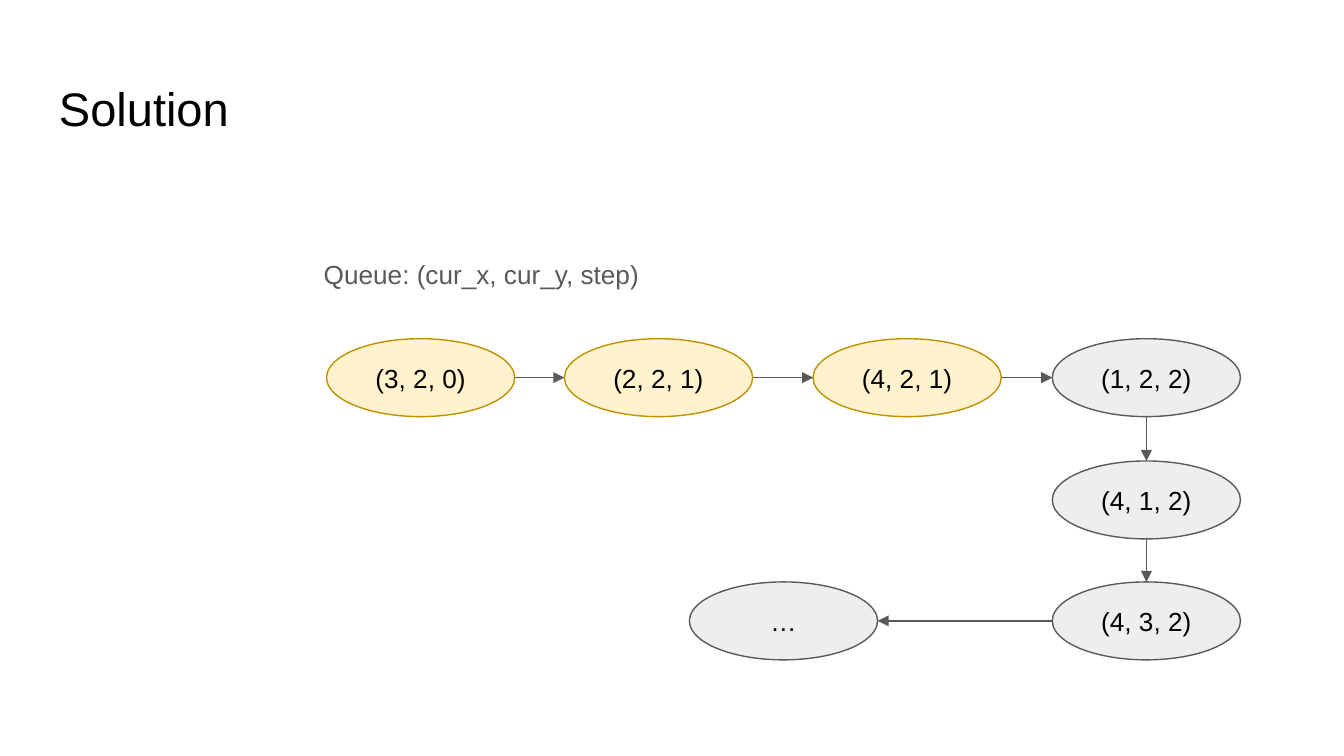
from lxml import etree
from pptx import Presentation
from pptx import util as u
from pptx.dml.color import RGBColor
from pptx.enum import shapes, text
from pptx.oxml.ns import qn

THEME = {
    "font": "Arial", "title_size": 25.2, "body_size": 14, "line_width": 0.75,
    "text": "000000", "muted": "595959",
    "visited": ("FFF2CC", "BF9000"), "waiting": ("EEEEEE", "595959"),
}

TITLE = "Solution"
CAPTION = "Queue: (cur_x, cur_y, step)"

NODE_WIDTH, NODE_HEIGHT = 1.4, 0.58
COLUMNS = {"first": 2.43, "second": 4.2, "third": 6.05, "last": 7.83, "rest": 5.13}
ROWS = [2.52, 3.43, 4.33]

# Queue order: label, state, column, row, direction of the arrow to the next node
QUEUE = [
    ("(3, 2, 0)", "visited", "first", 0, "right"),
    ("(2, 2, 1)", "visited", "second", 0, "right"),
    ("(4, 2, 1)", "visited", "third", 0, "right"),
    ("(1, 2, 2)", "waiting", "last", 0, "down"),
    ("(4, 1, 2)", "waiting", "last", 1, "down"),
    ("(4, 3, 2)", "waiting", "last", 2, "left"),
    ("…", "waiting", "rest", 2, None),
]
DIRECTIONS = {"right": (1, 0), "left": (-1, 0), "down": (0, 1)}


def color(name):
    return RGBColor.from_string(name)


def write(shape, words, size, text_color, align=text.PP_ALIGN.LEFT,
          anchor=text.MSO_ANCHOR.TOP):
    frame = shape.text_frame
    frame.word_wrap = True
    frame.vertical_anchor = anchor
    frame.margin_left = frame.margin_right = u.Inches(0.1)
    frame.margin_top = frame.margin_bottom = u.Inches(0.1)
    paragraph = frame.paragraphs[0]
    paragraph.alignment = align
    run = paragraph.add_run()
    run.text = words
    run.font.name = THEME["font"]
    run.font.size = u.Pt(size)
    run.font.color.rgb = color(text_color)


def add_text(slide, words, box, size, text_color):
    shape = slide.shapes.add_textbox(*map(u.Inches, box))
    write(shape, words, size, text_color)


def add_node(slide, label, state, left, top):
    fill, line = THEME[state]
    shape = slide.shapes.add_shape(
        shapes.MSO_SHAPE.OVAL, *map(u.Inches, (left, top, NODE_WIDTH, NODE_HEIGHT)))
    shape.shadow.inherit = False
    shape.fill.solid()
    shape.fill.fore_color.rgb = color(fill)
    shape.line.color.rgb = color(line)
    shape.line.width = u.Pt(THEME["line_width"])
    write(shape, label, THEME["body_size"], THEME["text"],
          text.PP_ALIGN.CENTER, text.MSO_ANCHOR.MIDDLE)


def edge_point(corner, direction):
    """Return the point where a node's outline meets the given direction."""
    left, top = corner
    across, down = direction
    return left + NODE_WIDTH * (1 + across) / 2, top + NODE_HEIGHT * (1 + down) / 2


def add_arrow(slide, start, end):
    connector = slide.shapes.add_connector(
        shapes.MSO_CONNECTOR.STRAIGHT, *map(u.Inches, (*start, *end)))
    connector.line.color.rgb = color(THEME["muted"])
    connector.line.width = u.Pt(THEME["line_width"])
    properties = connector.element.spPr
    etree.SubElement(properties.find(qn("a:ln")), qn("a:tailEnd"),
                     type="triangle", w="med", len="med")
    etree.SubElement(properties, qn("a:effectLst"))


def main():
    presentation = Presentation()
    presentation.slide_width = u.Inches(10)
    presentation.slide_height = presentation.slide_width * 9 // 16
    slide = presentation.slides.add_slide(presentation.slide_layouts[6])

    add_text(slide, TITLE, (0.34, 0.49, 9.32, 0.63), THEME["title_size"], THEME["text"])
    add_text(slide, CAPTION, (2.31, 1.82, 2.69, 0.44), THEME["body_size"], THEME["muted"])

    corners = [(COLUMNS[column], ROWS[row]) for _, _, column, row, _ in QUEUE]
    for (label, state, *_), corner in zip(QUEUE, corners):
        add_node(slide, label, state, *corner)
    for (*_, heading), corner, next_corner in zip(QUEUE, corners, corners[1:]):
        across, down = DIRECTIONS[heading]
        add_arrow(slide, edge_point(corner, (across, down)),
                  edge_point(next_corner, (-across, -down)))

    presentation.save("out.pptx")


if __name__ == "__main__":
    main()
